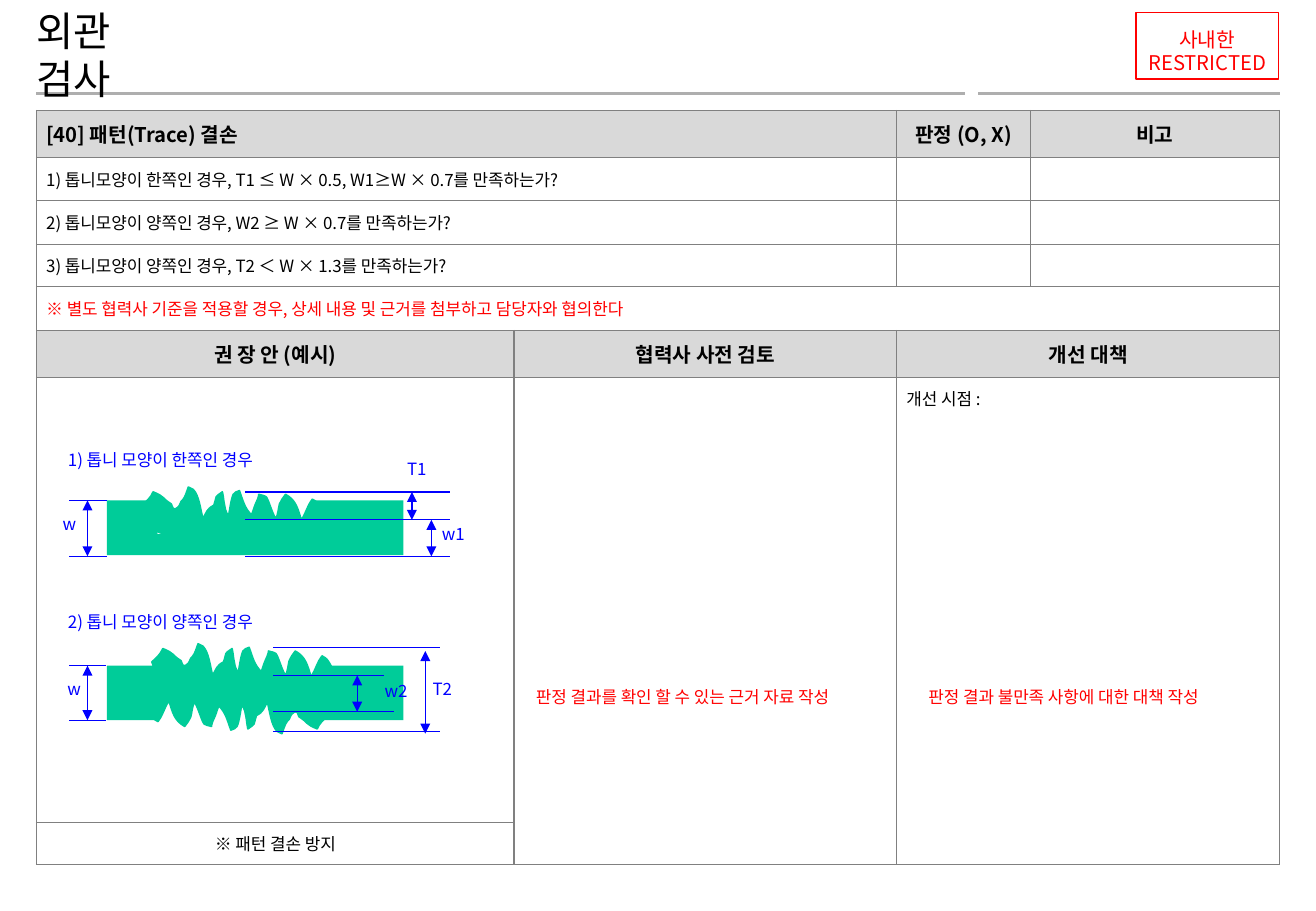
from lxml.etree import SubElement
from pptx import Presentation
from pptx.dml.color import RGBColor
from pptx.enum.shapes import MSO_CONNECTOR, MSO_SHAPE
from pptx.enum.text import MSO_ANCHOR, MSO_AUTO_SIZE, PP_ALIGN
from pptx.oxml.ns import qn
from pptx.util import Pt

PX = 9144
FONT = "Noto Sans CJK KR"
HUES = {name: RGBColor.from_string(code) for name, code in {
    "black": "000000", "white": "FFFFFF", "red": "FF0000", "blue": "0000FF",
    "green": "00CC99", "rule": "AEAEAE", "edge": "808080", "head": "D9D9D9"}.items()}
LEFT, MID = PP_ALIGN.LEFT, PP_ALIGN.CENTER


def put(frame, text, size, hue, align=LEFT, bold=False, pitch=None):
    """Fill a text frame; pitch is an exact line height in points."""
    frame.text = text
    for para in frame.paragraphs:
        para.alignment = align
        para.space_before = Pt(0)
        if pitch:
            para.line_spacing = Pt(pitch)
        font = para.font
        font.size, font.bold, font.name = Pt(size), bold, FONT
        font.color.rgb = HUES[hue]
        SubElement(font._element, qn("a:ea"), typeface=FONT)


def draw(x1, y1, x2, y2, hue="blue", width=0.75, arrows=False):
    line = slide.shapes.add_connector(
        MSO_CONNECTOR.STRAIGHT, x1 * PX, y1 * PX, x2 * PX, y2 * PX)
    line.line.color.rgb = HUES[hue]
    line.line.width = Pt(width)
    props = line._element.spPr
    if arrows:
        for end in ("a:headEnd", "a:tailEnd"):
            SubElement(props.find(qn("a:ln")), qn(end), type="triangle")
    SubElement(props, qn("a:effectLst"))


deck = Presentation()
deck.slide_width, deck.slide_height = 1083 * PX, 750 * PX
slide = deck.slides.add_slide(deck.slide_layouts[5])
shapes = slide.shapes

# Header
draw(30, 77, 794, 77, "rule", 2)
draw(805, 77, 1053, 77, "rule", 2)

title = shapes.title
shapes._spTree.append(title._element)
title.left, title.top, title.width, title.height = 30 * PX, 25 * PX, 127 * PX, 40 * PX
frame = title.text_frame
frame.margin_left = frame.margin_right = frame.margin_top = frame.margin_bottom = 0
frame.word_wrap, frame.auto_size = True, MSO_AUTO_SIZE.NONE
frame.vertical_anchor = MSO_ANCHOR.MIDDLE
put(frame, "외관 검사", 24, "black", pitch=28.4)

stamp = shapes.add_shape(MSO_SHAPE.RECTANGLE, 935 * PX, 10 * PX, 117 * PX, 55 * PX)
stamp.shadow.inherit = False
stamp.fill.background()
stamp.line.color.rgb = HUES["red"]
stamp.line.width = Pt(0.75)
frame = stamp.text_frame
frame.word_wrap = False
frame.margin_top, frame.margin_bottom = 10 * PX, 0
frame.vertical_anchor = MSO_ANCHOR.MIDDLE
put(frame, "사내한\nRESTRICTED", 12, "red", MID, pitch=13.6)

# Check table
cols = [393, 315, 110, 205]
rows = [39, 35, 36, 35, 36, 39, 366, 35]
texts = {
    (0, 0): "[40] 패턴(Trace) 결손", (0, 2): "판정 (O, X)", (0, 3): "비고",
    (1, 0): "1) 톱니모양이 한쪽인 경우, T1 ≤ W × 0.5, W1≥W × 0.7를 만족하는가?",
    (2, 0): "2) 톱니모양이 양쪽인 경우, W2 ≥ W × 0.7를 만족하는가?",
    (3, 0): "3) 톱니모양이 양쪽인 경우, T2 ＜ W × 1.3를 만족하는가?",
    (4, 0): "※ 별도 협력사 기준을 적용할 경우, 상세 내용 및 근거를 첨부하고 담당자와 협의한다",
    (5, 0): "권 장 안 (예시)", (5, 1): "협력사 사전 검토", (5, 2): "개선 대책",
    (6, 2): "개선 시점 :", (7, 0): "※ 패턴 결손 방지"}
merges = [(r, 0, r, 1) for r in range(4)] + [
    (4, 0, 4, 3), (5, 2, 5, 3), (6, 1, 7, 1), (6, 2, 7, 3)]

table = shapes.add_table(len(rows), len(cols), 30 * PX, 91 * PX,
                         sum(cols) * PX, sum(rows) * PX).table
table.first_row = table.horz_banding = False
for col, width in zip(table.columns, cols):
    col.width = width * PX
for r, height in enumerate(rows):
    table.rows[r].height = height * PX
    head = r in (0, 5)
    for c in range(len(cols)):
        cell = table.cell(r, c)
        cell.margin_left = cell.margin_right = 8 * PX
        cell.margin_top = cell.margin_bottom = 7 * PX
        cell.vertical_anchor = MSO_ANCHOR.TOP if r == 6 else MSO_ANCHOR.MIDDLE
        for side in ("a:lnL", "a:lnR", "a:lnT", "a:lnB"):
            edge = SubElement(cell._tc.get_or_add_tcPr(), qn(side), w=str(Pt(0.75)))
            fill = SubElement(edge, qn("a:solidFill"))
            SubElement(fill, qn("a:srgbClr"), val=str(HUES["edge"]))
        if head:
            cell.fill.solid()
            cell.fill.fore_color.rgb = HUES["head"]
        else:
            cell.fill.background()
        text = texts.get((r, c), "")
        align = MID if r in (5, 7) or (r == 0 and c > 0) else LEFT
        put(cell.text_frame, text, 12 if head else 10,
            "red" if r == 4 else "black", align, head)
        if not text:
            SubElement(cell.text_frame.paragraphs[0]._p, qn("a:endParaRPr"), sz="1000")
for r1, c1, r2, c2 in merges:
    table.cell(r1, c1).merge(table.cell(r2, c2))

# Jagged traces: each row of the profile is a Bezier segment from the last point
profile = [
    (4, 11, 7, 9, 9, 4), (19, 8, 16, 9, 24, 14), (25, 16, 25, 21, 30, 16),
    (31, 15, 31, 14, 32, 12), (33, 11, 34, 10, 35, 8), (36, 6, 38, 0, 38, 0),
    (39, 1, 41, 1, 42, 2), (47, 7, 48, 19, 50, 26), (53, 21, 53, 18, 59, 15),
    (62, 6, 59, 9, 66, 4), (67, 8, 67, 12, 68, 16), (68, 19, 71, 24, 71, 24),
    (72, 20, 73, 10, 75, 6), (76, 4, 78, 4, 80, 3), (83, 11, 84, 17, 90, 23),
    (93, 15, 91, 19, 95, 10), (96, 8, 96, 6, 96, 6), (99, 7, 101, 7, 102, 8),
    (104, 10, 107, 22, 110, 26), (112, 22, 112, 18, 113, 14),
    (114, 11, 116, 9, 118, 6), (127, 11, 128, 18, 131, 27),
    (135, 21, 136, 15, 140, 10), (148, 14, 145, 18, 152, 24),
    (153, 26, 154, 38, 151, 38), (116, 40, 81, 39, 47, 39),
    (35, 42, 38, 42, 20, 39), (15, 38, 11, 36, 6, 35), (5, 35, 2, 34, 2, 34),
    (0, 27, 3, 21, 0, 15)]

blocks = [(88, 412, 244, 45, "green"), (88, 548, 244, 45, "green"),
          (130, 401, 126, 38, "white"), (138, 530, 125, 38, "white"),
          (130, 571, 126, 38, "white")]
teeth = {2: (117, 401, 0), 3: (125, 530, 0), 4: (118, 565, 180)}
for n, (x, y, w, h, hue) in enumerate(blocks):
    parts = [shapes.add_shape(MSO_SHAPE.RECTANGLE, x * PX, y * PX, w * PX, h * PX)]
    if n in teeth:
        x, y, turn = teeth[n]
        pen = shapes.build_freeform(x, y + 15, scale=PX)
        pen.add_line_segments([(x + ex, y + ey) for *_, ex, ey in profile], close=True)
        trace = pen.convert_to_shape()
        trace.rotation = turn
        route = trace._element.spPr.find(".//" + qn("a:path"))
        route.set("w", str(trace.width))
        route.set("h", str(trace.height))
        start = route.find(qn("a:moveTo"))[0]
        start.set("x", "0")
        start.set("y", str(15 * PX))
        for leg, curve in zip(route.findall(qn("a:lnTo")), profile):
            bend = SubElement(route, qn("a:cubicBezTo"))
            for dx, dy in zip(curve[::2], curve[1::2]):
                SubElement(bend, qn("a:pt"), x=str(dx * PX), y=str(dy * PX))
            route.replace(leg, bend)
        parts.append(trace)
    for part, tone in zip(parts, (hue, "green")):
        part.shadow.inherit = False
        part.fill.solid()
        part.fill.fore_color.rgb = HUES[tone]
        if n in teeth:
            part.line.color.rgb = HUES[tone]
            part.line.width = Pt(1)
        else:
            part.line.fill.background()

# Dimension lines and arrows
for x1, x2, y in [(202, 370, 405), (202, 370, 428), (202, 370, 458),
                  (57, 88, 412), (57, 88, 458), (57, 87, 548), (57, 87, 593),
                  (225, 362, 533), (225, 362, 602), (225, 316, 556), (225, 324, 586)]:
    draw(x1, y, x2, y)
for x, y1, y2 in [(72, 412, 458), (339, 405, 428), (355, 428, 458),
                  (72, 548, 593), (294, 556, 586), (350, 536, 604)]:
    draw(x, y1, x, y2, arrows=True)

# Labels
labels = [(x, y, 38, text, "blue", MID) for x, y, text in [
    (38, 420, "w"), (354, 428, "w1"), (324, 375, "T1"),
    (42, 556, "w"), (307, 557, "w2"), (345, 556, "T2")]]
labels += [
    (50, 367, 237, "1) 톱니 모양이 한쪽인 경우", "blue", LEFT),
    (50, 501, 237, "2) 톱니 모양이 양쪽인 경우", "blue", LEFT),
    (435, 562, 295, "판정 결과를 확인 할 수 있는 근거 자료 작성", "red", LEFT),
    (758, 562, 279, "판정 결과 불만족 사항에 대한 대책 작성", "red", LEFT)]
for x, y, w, text, hue, align in labels:
    frame = shapes.add_textbox(x * PX, y * PX, w * PX, 23 * PX).text_frame
    frame.word_wrap = True
    frame.margin_left = frame.margin_right = 6 * PX
    frame.margin_top = frame.margin_bottom = 3 * PX
    put(frame, text, 10, hue, align)

deck.save("out.pptx")
